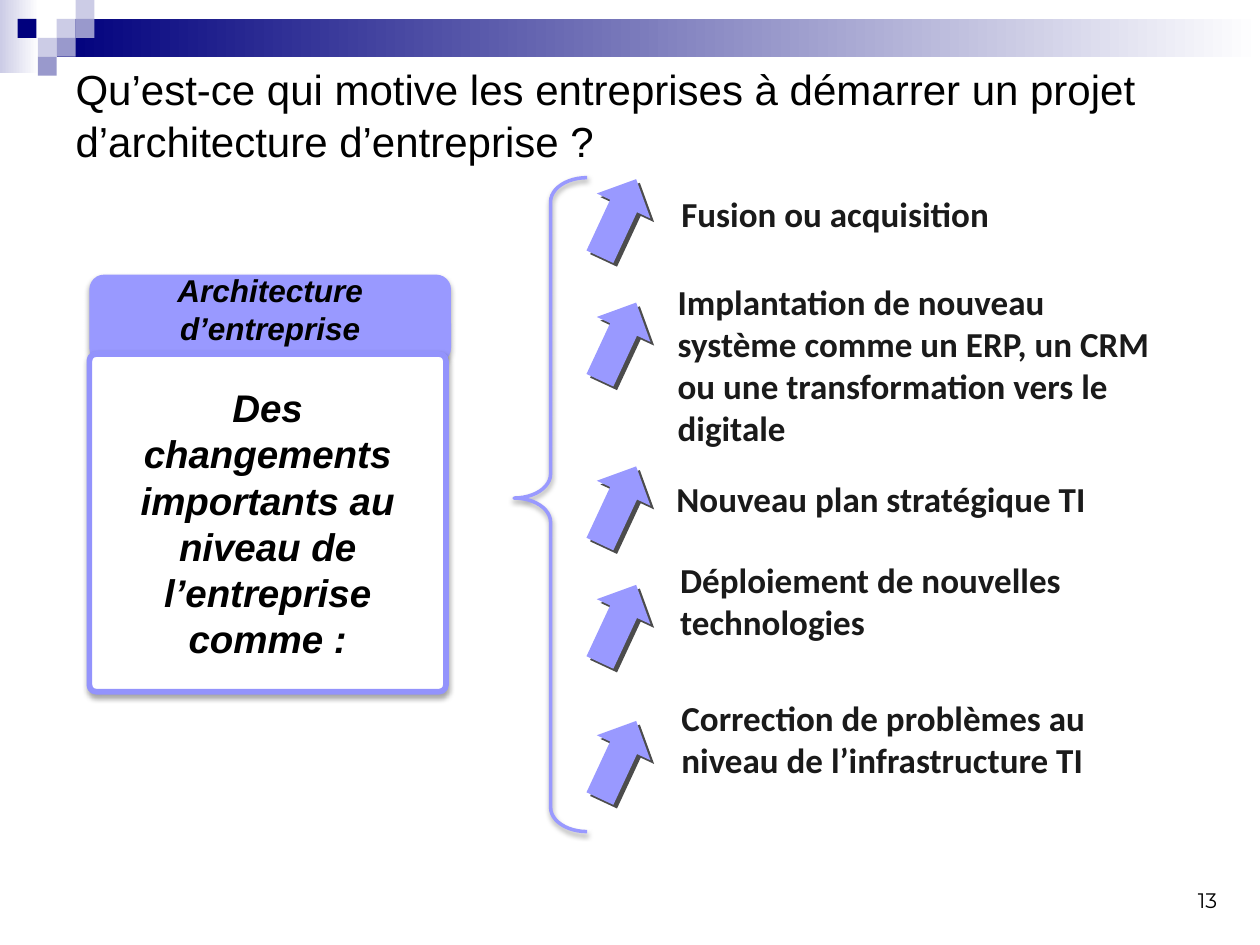
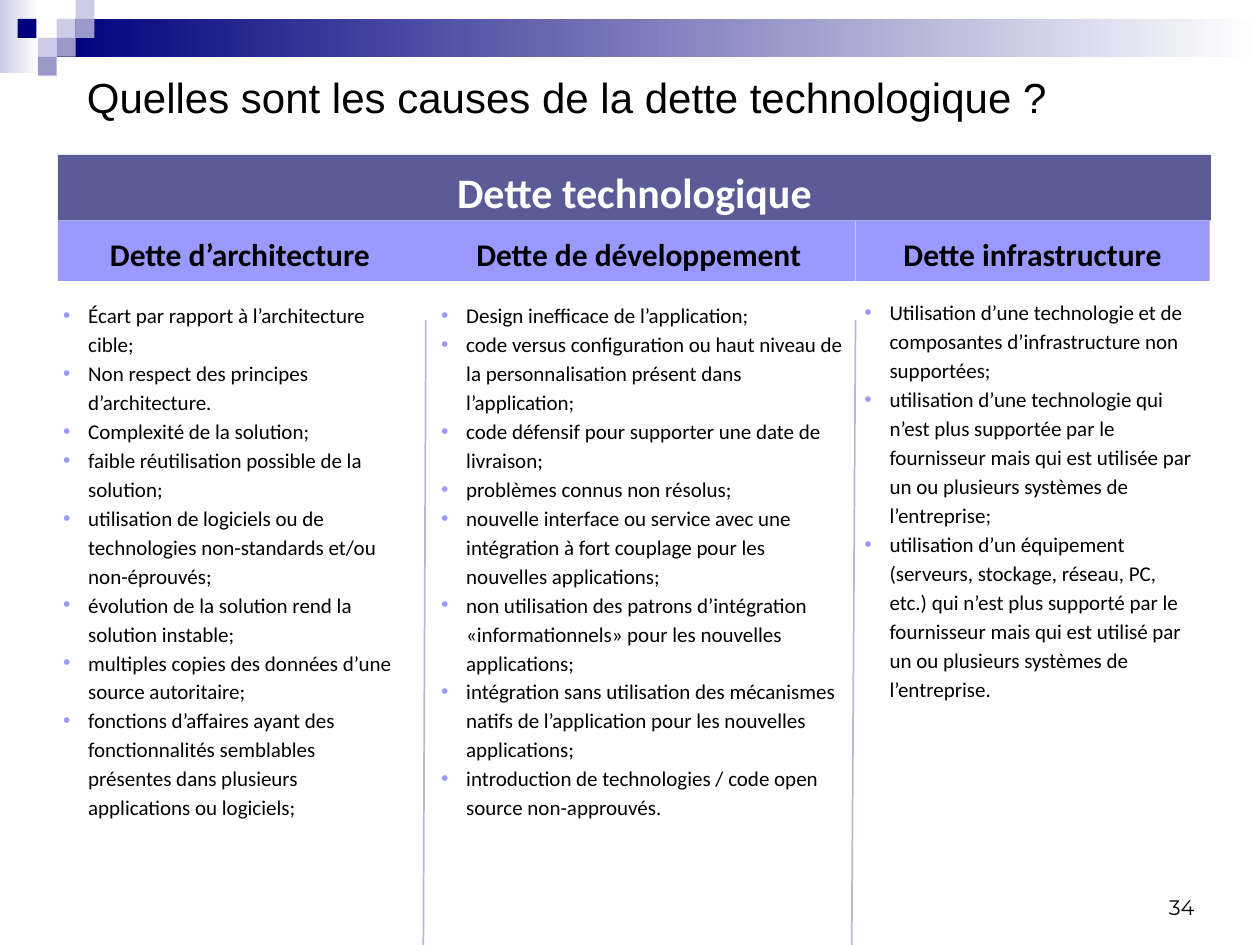
"""Builds two slides on enterprise architecture drivers and technological debt."""
from lxml.etree import SubElement
from pptx import Presentation
from pptx.dml.color import RGBColor
from pptx.enum.shapes import MSO_CONNECTOR, MSO_SHAPE
from pptx.enum.text import MSO_ANCHOR, MSO_AUTO_SIZE, PP_ALIGN
from pptx.oxml.ns import qn
from pptx.util import Inches, Pt

COLORS = {
    "black": "000000", "white": "FFFFFF", "ink": "1A1A1A",
    "navy": "00007D", "slate": "9999CC", "mist": "CCCCE6",
    "violet": "9999FF", "outline": "9393FC", "banner": "5B5B98", "divider": "B9B9D5",
}
SOFT_SHADOW = {"opacity": 35, "blur": 3.1, "distance": 1.8, "angle": 90}
HARD_SHADOW = {"opacity": 70, "blur": 0, "distance": 3, "angle": 45}
TILE = 0.15
TILES = [
    (3, 1, "mist"), (4, 0, "mist"), (4, 1, "slate"), (2, 2, "mist"),
    (0.93, 1, "navy"), (3, 2, "slate"), (2, 3, "slate"),
]

DRIVERS = [
    (1.39, 5.31, 1.48, 3.94, 0.44, "Fusion ou acquisition"),
    (2.37, 5.28, 2.18, 3.94, 1.45,
     "Implantation de nouveau système comme un ERP, un CRM ou une transformation vers le digitale"),
    (3.67, 5.27, 3.74, 4.42, 0.44, "Nouveau plan stratégique TI"),
    (4.61, 5.3, 4.38, 3.4, 0.77, "Déploiement de nouvelles technologies"),
    (5.69, 5.31, 5.48, 3.94, 0.77, "Correction de problèmes au niveau de l’infrastructure TI"),
]

ARCHITECTURE_DEBT = [
    "Écart par rapport à l’architecture cible;",
    "Non respect des principes d’architecture.",
    "Complexité de la solution;",
    "faible réutilisation possible de la solution;",
    "utilisation de logiciels ou de technologies non-standards et/ou non-éprouvés;",
    "évolution de la solution rend la solution instable;",
    "multiples copies des données d’une source autoritaire;",
    "fonctions d’affaires ayant des fonctionnalités semblables présentes dans plusieurs "
    "applications ou logiciels;",
]
DEVELOPMENT_DEBT = [
    "Design inefficace de l’application;",
    "code versus configuration ou haut niveau de la personnalisation présent dans l’application;",
    "code défensif pour supporter une date de livraison;",
    "problèmes connus non résolus;",
    "nouvelle interface ou service avec une intégration à fort couplage pour les nouvelles "
    "applications;",
    "non utilisation des patrons d’intégration «informationnels» pour les nouvelles applications;",
    "intégration sans utilisation des mécanismes natifs de l’application pour les nouvelles "
    "applications;",
    "introduction de technologies / code open source non-approuvés.",
]
INFRASTRUCTURE_DEBT = [
    "Utilisation d’une technologie et de composantes d’infrastructure non supportées;",
    "utilisation d’une technologie qui n’est plus supportée par le fournisseur mais qui est "
    "utilisée par un ou plusieurs systèmes de l’entreprise;",
    "utilisation d’un équipement (serveurs, stockage, réseau, PC, etc.) qui n’est plus supporté "
    "par le fournisseur mais qui est utilisé par un ou plusieurs systèmes de l’entreprise.",
]
DEBT_COLUMNS = [
    ("Dette d’architecture", 0.46, 2.89, 2, (0.4, 2.32, 2.89, 4.23), ARCHITECTURE_DEBT),
    ("Dette de développement", 3.35, 3.44, 4, (3.4, 2.32, 3.39, 4.23), DEVELOPMENT_DEBT),
    ("Dette infrastructure", 6.79, 2.81, 1, (6.76, 2.3, 2.81, 4.23), INFRASTRUCTURE_DEBT),
]


def color(name):
    return RGBColor.from_string(COLORS[name])


def place(shape, left, top, width, height):
    shape.left, shape.top = Inches(left), Inches(top)
    shape.width, shape.height = Inches(width), Inches(height)


def add_bullet(paragraph):
    properties = paragraph._p.get_or_add_pPr()
    properties.set("marL", str(Inches(0.2)))
    properties.set("indent", str(-Inches(0.2)))
    bullet_color = SubElement(properties, qn("a:buClr"))
    SubElement(bullet_color, qn("a:srgbClr"), val=COLORS["violet"])
    SubElement(properties, qn("a:buFont"), typeface="Arial")
    SubElement(properties, qn("a:buChar"), char="•")


def write_text(shape, *texts, size, font="Calibri", ink="black", bold=False, italic=False,
               align=PP_ALIGN.LEFT, anchor=MSO_ANCHOR.TOP, spacing=1.0, bullets=False,
               wrap=True, bottom=0.05):
    frame = shape.text_frame
    frame.word_wrap = wrap
    frame.auto_size = MSO_AUTO_SIZE.NONE
    frame.vertical_anchor = anchor
    frame.margin_bottom = Inches(bottom)
    for index, text in enumerate(texts):
        paragraph = frame.add_paragraph() if index else frame.paragraphs[0]
        paragraph.alignment = align
        paragraph.line_spacing = spacing
        paragraph.space_before = Pt(0)
        run = paragraph.add_run()
        run.text = text
        run.font.name, run.font.size = font, Pt(size)
        run.font.bold, run.font.italic = bold, italic
        run.font.color.rgb = color(ink)
        if bullets:
            add_bullet(paragraph)


def add_shadow(shape, opacity, blur, distance, angle):
    effects = shape.element.spPr.find(qn("a:effectLst"))
    shadow = SubElement(effects, qn("a:outerShdw"), blurRad=str(Pt(blur)), dist=str(Pt(distance)),
                        dir=str(angle * 60000), rotWithShape="0")
    shade = SubElement(shadow, qn("a:srgbClr"), val=COLORS["black"])
    SubElement(shade, qn("a:alpha"), val=str(opacity * 1000))


def add_box(slide, box, fill=None, kind=MSO_SHAPE.RECTANGLE, line=None, line_width=1,
            shadow=None, gradient=None):
    shape = slide.shapes.add_shape(kind, *map(Inches, box))
    shape.shadow.inherit = False
    if gradient:
        shape.fill.gradient()
        shape.fill.gradient_angle = 0
        for stop, name in zip(shape.fill.gradient_stops, gradient):
            stop.color.rgb = color(name)
    elif fill:
        shape.fill.solid()
        shape.fill.fore_color.rgb = color(fill)
    else:
        shape.fill.background()
    if line:
        shape.line.color.rgb = color(line)
        shape.line.width = Pt(line_width)
    else:
        shape.line.fill.background()
    if shadow:
        add_shadow(shape, **shadow)
    return shape


def add_text_box(slide, box, text, **text_format):
    write_text(slide.shapes.add_textbox(*map(Inches, box)), text, **text_format)


def add_divider(slide, top_x, bottom_x):
    divider = slide.shapes.add_connector(
        MSO_CONNECTOR.STRAIGHT, Inches(top_x), Inches(2.54), Inches(bottom_x), Inches(7.5))
    divider.line.color.rgb = color("divider")
    divider.line.width = Pt(1)
    SubElement(divider.element.spPr, qn("a:effectLst"))


def decorate_master(presentation, slide):
    """Draws the shared band and tiles, then moves them behind everything on the master."""
    decorations = [
        add_box(slide, (0, 0, 0.31, 0.58), gradient=("mist", "white")),
        add_box(slide, (0.45, 0.15, 9.55, 0.3), gradient=("navy", "white")),
    ]
    decorations += [add_box(slide, (column * TILE, row * TILE, TILE, TILE), fill)
                    for column, row, fill in TILES]
    tree = presentation.slide_master.shapes.element
    for index, shape in enumerate(decorations):
        shape.element.nvSpPr.cNvPr.set("id", str(100 + index))
        tree.insert(2 + index, shape.element)


def set_title(slide, box, text, **text_format):
    place(slide.shapes.title, *box)
    write_text(slide.shapes.title, text, size=24, font="Arial", **text_format)


def add_page_number(slide, box, number):
    add_text_box(slide, box, number, size=12, font="Montserrat", align=PP_ALIGN.RIGHT,
                 anchor=MSO_ANCHOR.BOTTOM)


def add_driver(slide, arrow_top, left, top, width, height, text):
    arrow = add_box(slide, (4.67, arrow_top, 0.47, 0.68), "violet", MSO_SHAPE.UP_ARROW,
                    shadow=HARD_SHADOW)
    arrow.rotation = 25
    add_text_box(slide, (left, top, width, height), text, size=20, ink="ink", bold=True)


def build_drivers_slide(slide):
    set_title(slide, (0.5, 0.49, 9.31, 0.82),
              "Qu’est-ce qui motive les entreprises à démarrer un projet d’architecture "
              "d’entreprise ?", anchor=MSO_ANCHOR.MIDDLE, spacing=1.05)
    card_text = {"font": "Arial", "bold": True, "italic": True, "align": PP_ALIGN.CENTER,
                 "anchor": MSO_ANCHOR.MIDDLE}
    heading = add_box(slide, (0.71, 2.18, 2.87, 0.7), "violet", MSO_SHAPE.ROUNDED_RECTANGLE,
                      shadow=SOFT_SHADOW)
    write_text(heading, "Architecture d’entreprise", size=18, bottom=0.2, **card_text)
    card = add_box(slide, (0.71, 2.81, 2.83, 2.68), "white", MSO_SHAPE.ROUNDED_RECTANGLE,
                   line="outline", line_width=3.25, shadow=SOFT_SHADOW)
    card.adjustments[0] = 0.02
    write_text(card, "Des changements importants au niveau de l’entreprise comme :", size=22,
               **card_text)
    brace = add_box(slide, (4.08, 1.41, 0.58, 5.19), kind=MSO_SHAPE.LEFT_BRACE, line="violet",
                    line_width=2, shadow=SOFT_SHADOW)
    brace.adjustments[0], brace.adjustments[1] = 0.33, 0.49
    for driver in DRIVERS:
        add_driver(slide, *driver)
    add_page_number(slide, (9.33, 7.06, 0.43, 0.23), "13")


def build_debt_slide(slide):
    set_title(slide, (0.59, 0.52, 7.9, 0.5),
              "Quelles sont les causes de la dette technologique ?", wrap=False)
    placeholders = {shape.placeholder_format.idx: shape for shape in slide.placeholders}
    heading_text = {"bold": True, "align": PP_ALIGN.CENTER, "anchor": MSO_ANCHOR.MIDDLE,
                    "spacing": 1.15}
    for heading, left, width, index, list_box, causes in DEBT_COLUMNS:
        place(placeholders[index], *list_box)
        write_text(placeholders[index], *causes, size=12, spacing=1.15, bullets=True)
        header = add_box(slide, (left, 1.75, width, 0.48), "violet")
        write_text(header, heading, size=18, **heading_text)
    unused = placeholders[3].element
    unused.getparent().remove(unused)
    banner = add_box(slide, (0.46, 1.23, 9.15, 0.52), "banner")
    write_text(banner, "Dette technologique", size=24, ink="white", **heading_text)
    add_divider(slide, 3.38, 3.36)
    add_divider(slide, 6.79, 6.76)
    add_page_number(slide, (8.88, 7.17, 0.7, 0.18), "34")


def main():
    presentation = Presentation()
    presentation.slide_width, presentation.slide_height = Inches(10), Inches(7.5)
    title_only, comparison = presentation.slide_layouts[5], presentation.slide_layouts[4]
    drivers_slide = presentation.slides.add_slide(title_only)
    decorate_master(presentation, drivers_slide)
    build_drivers_slide(drivers_slide)
    build_debt_slide(presentation.slides.add_slide(comparison))
    presentation.save("out.pptx")


if __name__ == "__main__":
    main()
